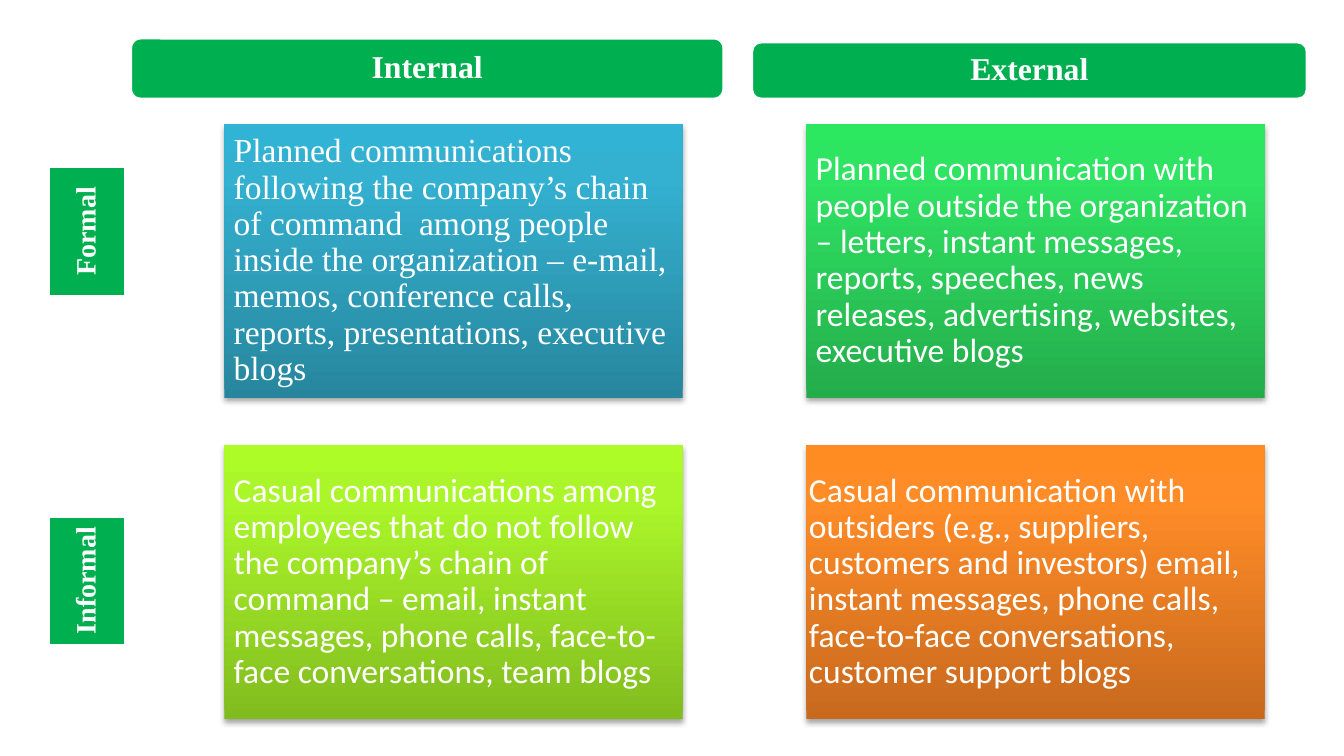
import copy

import pptx
import pptx.dml.color
import pptx.enum.shapes
import pptx.enum.text
import pptx.util
from lxml import etree
from pptx.oxml.ns import qn

Pt = pptx.util.Pt
RGB = pptx.dml.color.RGBColor.from_string
SHAPES = pptx.enum.shapes.MSO_SHAPE
ALIGN = pptx.enum.text.PP_ALIGN

THEME = {
    "white": "FFFFFF", "label": "00B050", "shadow": "000000",
    "serif": "Times New Roman", "sans": "Calibri",
    "header_size": 17, "tab_size": 15, "body_size": 18,
    "line_spacing": 0.9, "header_inset": 5, "tab_inset": 4.3,
}

# text, left, top, width, height
HEADERS = [
    ("Internal", 69.8, 20.2, 318.2, 33.1),
    ("External", 402.5, 22.3, 298, 31),
]
TABS = ["Formal", "Informal"]
TAB_LEFT, TAB_TOP, TAB_PITCH = 11.5, 103, 187.2
TAB_WIDTH, TAB_HEIGHT = 69.8, 41.8

# text, font, gradient from bottom to top, left and right insets
CELLS = [
    [
        ("Planned communications following the company’s chain of command  among people "
         "inside the organization – e-mail, memos, conference calls, reports, "
         "presentations, executive blogs",
         "serif", ("27869E", "34B0D0", "30B3D4"), (5, 5)),
        ("Planned communication with people outside the organization – letters, instant "
         "messages, reports, speeches, news releases, advertising, websites, executive blogs",
         "sans", ("24AC4B", "2FE363", "2CE861"), (5, 5)),
    ],
    [
        ("Casual communications among employees that do not follow the company’s chain of "
         "command – email, instant messages, phone calls, face-to-face conversations, "
         "team blogs",
         "sans", ("81BC1F", "ABF62A", "ADFB27"), (5, 5)),
        ("Casual communication with outsiders (e.g., suppliers, customers and investors) "
         "email, instant messages, phone calls, face-to-face conversations, customer "
         "support blogs",
         "sans", ("C8691E", "FF8C27", "FF8B23"), (1.4, 8.6)),
    ],
]
GRADIENT_POSITIONS = (0, 0.8, 1)
CELL_LEFT, CELL_TOP = 120.2, 66.3
CELL_WIDTH, CELL_HEIGHT = 245.5, 146.9
COLUMN_PITCH, ROW_PITCH = 311.8, 172


def add_block(slide, kind, box):
    shape = slide.shapes.add_shape(kind, *(Pt(length) for length in box))
    shape.shadow.inherit = False
    return shape


def write_text(shape, text, font, size, alignment, insets, bold=False):
    """Fill the shape with one paragraph; insets are left, top, right, bottom."""
    frame = shape.text_frame
    frame.word_wrap = True
    frame.vertical_anchor = pptx.enum.text.MSO_ANCHOR.MIDDLE
    (frame.margin_left, frame.margin_top,
     frame.margin_right, frame.margin_bottom) = (Pt(inset) for inset in insets)
    paragraph = frame.paragraphs[0]
    paragraph.text = text
    paragraph.alignment = alignment
    paragraph.line_spacing = THEME["line_spacing"]
    paragraph.font.name = THEME[font]
    paragraph.font.size = Pt(size)
    paragraph.font.bold = bold
    paragraph.font.color.rgb = RGB(THEME["white"])


def add_label(slide, kind, box, text, size, inset):
    shape = add_block(slide, kind, box)
    shape.fill.solid()
    shape.fill.fore_color.rgb = RGB(THEME["label"])
    shape.line.color.rgb = RGB(THEME["white"])
    shape.line.width = Pt(2)
    write_text(shape, text, "serif", size, ALIGN.CENTER, [inset] * 4, bold=True)
    return shape


def fill_gradient(shape, colors):
    shape.fill.gradient()
    shape.fill.gradient_angle = 90
    stop_list = next(shape._element.spPr.iter(qn("a:gsLst")))
    while len(stop_list) < len(colors):
        stop_list.append(copy.deepcopy(stop_list[-1]))
    for stop, color, position in zip(shape.fill.gradient_stops, colors, GRADIENT_POSITIONS):
        stop.color.rgb = RGB(color)
        stop.position = position


def add_drop_shadow(shape):
    effects = shape._element.spPr.find(qn("a:effectLst"))
    shadow = etree.SubElement(
        effects, qn("a:outerShdw"), blurRad=str(Pt(3.1)), dist=str(Pt(1.8)),
        dir="5400000", rotWithShape="0")
    color = etree.SubElement(shadow, qn("a:srgbClr"), val=THEME["shadow"])
    etree.SubElement(color, qn("a:alpha"), val="35000")


def main():
    presentation = pptx.Presentation()
    presentation.slide_width, presentation.slide_height = Pt(720), Pt(405)
    slide = presentation.slides.add_slide(presentation.slide_layouts[6])

    for text, *box in HEADERS:
        add_label(slide, SHAPES.ROUNDED_RECTANGLE, box, text,
                  THEME["header_size"], THEME["header_inset"])

    for row, text in enumerate(TABS):
        box = (TAB_LEFT, TAB_TOP + row * TAB_PITCH, TAB_WIDTH, TAB_HEIGHT)
        tab = add_label(slide, SHAPES.RECTANGLE, box, text,
                        THEME["tab_size"], THEME["tab_inset"])
        tab.rotation = 270

    for row, cells in enumerate(CELLS):
        for column, (text, font, colors, (left, right)) in enumerate(cells):
            box = (CELL_LEFT + column * COLUMN_PITCH, CELL_TOP + row * ROW_PITCH,
                   CELL_WIDTH, CELL_HEIGHT)
            cell = add_block(slide, SHAPES.RECTANGLE, box)
            fill_gradient(cell, colors)
            cell.line.fill.background()
            add_drop_shadow(cell)
            write_text(cell, text, font, THEME["body_size"], ALIGN.LEFT, (left, 5, right, 5))

    presentation.save("out.pptx")


if __name__ == "__main__":
    main()
